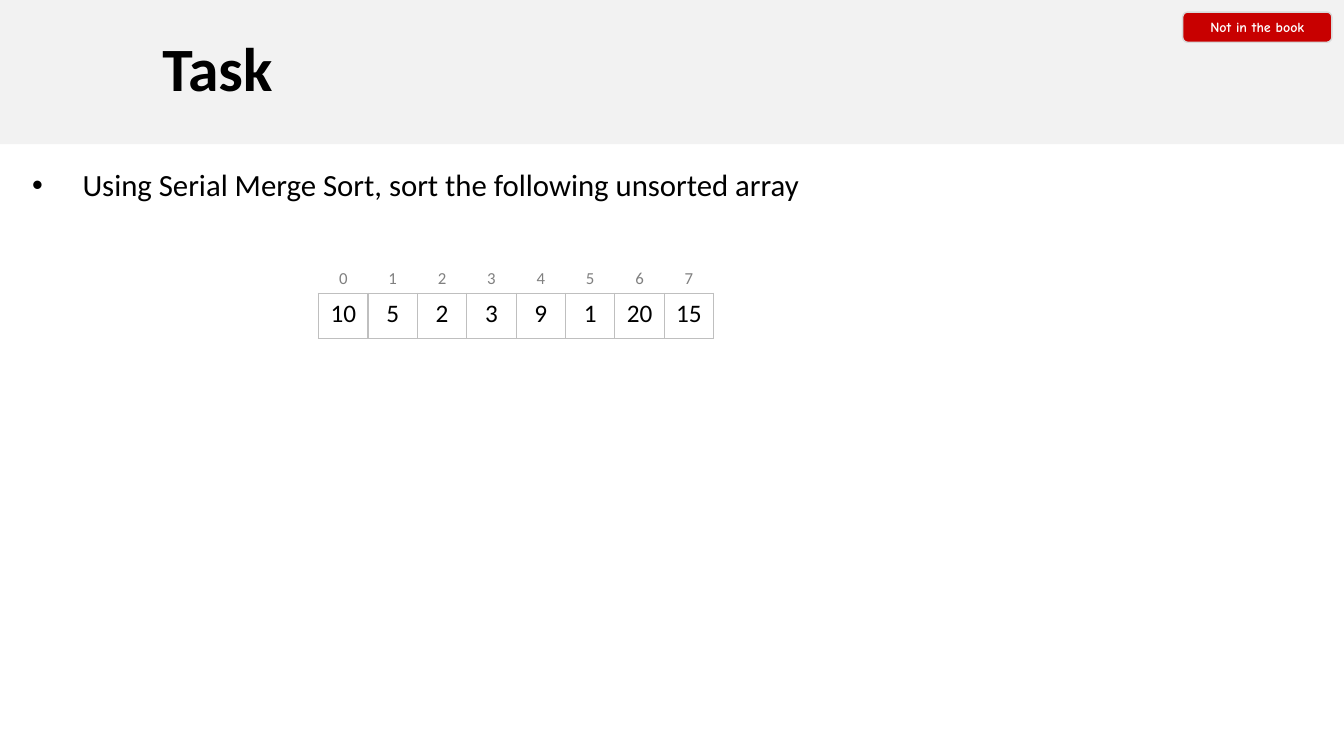
from lxml import etree
from pptx import Presentation
from pptx.dml.color import RGBColor
from pptx.enum.shapes import MSO_SHAPE
from pptx.enum.text import MSO_ANCHOR, PP_ALIGN
from pptx.oxml.ns import qn
from pptx.util import Inches, Pt

RECTANGLE, ROUNDED = MSO_SHAPE.RECTANGLE, MSO_SHAPE.ROUNDED_RECTANGLE
LEFT, CENTER = PP_ALIGN.LEFT, PP_ALIGN.CENTER
TOP, MIDDLE, BOTTOM = MSO_ANCHOR.TOP, MSO_ANCHOR.MIDDLE, MSO_ANCHOR.BOTTOM

UNSORTED = [10, 5, 2, 3, 9, 1, 20, 15]
CELL_WIDTH = 0.49
INDEX_HEIGHT, VALUE_HEIGHT = 0.3, 0.45
GRID = "BFBFBF"


def color(value):
    return RGBColor.from_string(value)


def write(frame, text, size=18, fill="000000", font="Calibri", bold=False,
          align=LEFT, spacing=None):
    para = frame.paragraphs[0]
    para.alignment = align
    para.line_spacing = spacing
    span = para.add_run()
    span.text = text
    span.font.size = Pt(size)
    span.font.name = font
    span.font.bold = bold
    span.font.color.rgb = color(fill)
    return para


def add_box(page, kind, left, top, width, height, fill, line=None):
    box = page.shapes.add_shape(kind, Inches(left), Inches(top),
                                Inches(width), Inches(height))
    box.shadow.inherit = False
    box.fill.solid()
    box.fill.fore_color.rgb = color(fill)
    if line:
        box.line.color.rgb = color(line)
        box.line.width = Pt(1)
    else:
        box.line.fill.background()
    box.text_frame.word_wrap = True
    box.text_frame.vertical_anchor = MIDDLE
    return box


def add_bullet(page, text, left, top, width, height):
    box = page.shapes.add_textbox(Inches(left), Inches(top),
                                  Inches(width), Inches(height))
    box.text_frame.word_wrap = True
    para = write(box.text_frame, text, size=22)
    props = para._p.get_or_add_pPr()
    props.set("marL", str(Inches(0.5)))
    props.set("indent", str(-Inches(0.5)))
    etree.SubElement(props, qn("a:buFont"), typeface="Arial")
    etree.SubElement(props, qn("a:buChar"), char="•")


def set_borders(cell, drawn_sides):
    props = cell._tc.get_or_add_tcPr()
    for side in "LRTB":
        line = etree.SubElement(props, qn(f"a:ln{side}"), w=str(Pt(1)))
        if side in drawn_sides:
            paint = etree.SubElement(line, qn("a:solidFill"))
            etree.SubElement(paint, qn("a:srgbClr"), val=GRID)
        else:
            etree.SubElement(line, qn("a:noFill"))


def fill_cell(cell, text, borders, anchor, **text_format):
    set_borders(cell, borders)
    cell.fill.solid()
    cell.fill.fore_color.rgb = color("FFFFFF")
    cell.vertical_anchor = anchor
    write(cell.text_frame, text, align=CENTER, **text_format)


def add_array(page, values, left, top):
    frame = page.shapes.add_table(
        2, len(values), Inches(left), Inches(top),
        Inches(CELL_WIDTH * len(values)), Inches(INDEX_HEIGHT + VALUE_HEIGHT))
    table = frame.table
    table.first_row = table.horz_banding = False
    table.rows[0].height = Inches(INDEX_HEIGHT)
    table.rows[1].height = Inches(VALUE_HEIGHT)
    for index, value in enumerate(values):
        table.columns[index].width = Inches(CELL_WIDTH)
        fill_cell(table.cell(0, index), str(index), "B", BOTTOM,
                  size=12, fill="808080")
        fill_cell(table.cell(1, index), str(value), "LRTB", TOP)


def main():
    deck = Presentation()
    deck.slide_width, deck.slide_height = Inches(13.33), Inches(7.5)
    page = deck.slides.add_slide(deck.slide_layouts[6])

    # Title band
    band = add_box(page, RECTANGLE, 0, 0, 13.33, 1.43, "F2F2F2")
    band.text_frame.margin_left = Inches(1.61)
    write(band.text_frame, "Task", size=44, bold=True, spacing=0.9)

    # Instruction
    add_bullet(page, "Using Serial Merge Sort, sort the following unsorted array",
               0.22, 1.6, 11.71, 0.47)

    # Badge
    badge = add_box(page, ROUNDED, 11.73, 0.12, 1.48, 0.3, "C80000", GRID_LIGHT)
    write(badge.text_frame, "Not in the book", size=10, fill="FFFFFF",
          font="Comic Neue", bold=True, align=CENTER)

    # Array with its indexes
    add_array(page, UNSORTED, 3.16, 2.61)

    deck.save("out.pptx")


GRID_LIGHT = "D9D9D9"

if __name__ == "__main__":
    main()
